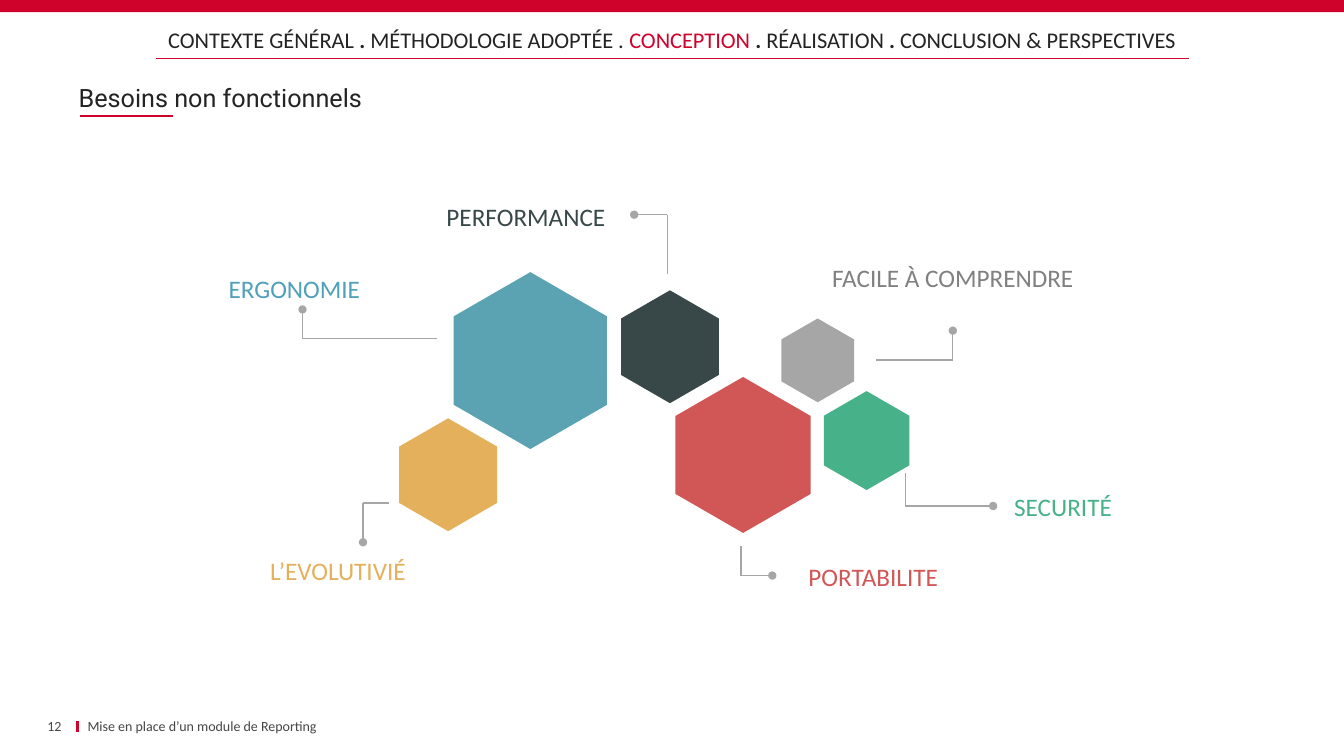
"""Build the slide of non-functional requirements with labelled hexagons."""
import dataclasses
import math

import lxml.etree
import pptx
import pptx.dml.color
import pptx.enum.shapes
import pptx.enum.text
import pptx.oxml.ns
import pptx.util

ALIGN = pptx.enum.text.PP_ALIGN
ANCHOR = pptx.enum.text.MSO_ANCHOR


@dataclasses.dataclass(frozen=True)
class Theme:
    red: str = "CF022B"
    ink: str = "232323"
    footer: str = "464646"
    leader: str = "A6A6A6"
    blue: str = "5BA2B2"
    blue_text: str = "4FA0B9"
    yellow: str = "E5B05C"
    coral: str = "D15656"
    slate: str = "384849"
    gray: str = "A6A6A6"
    gray_text: str = "808080"
    green: str = "47B289"
    body_font: str = "Calibri"
    title_font: str = "Roboto"
    title_size: int = 18
    label_size: int = 18
    menu_size: int = 16
    footer_size: int = 10


def px(length):
    return pptx.util.Emu(length * 9144)


def rgb(color):
    return pptx.dml.color.RGBColor.from_string(color)


class SlideBuilder:
    def __init__(self, slide, theme):
        self.slide = slide
        self.theme = theme

    def paint(self, shape, color):
        shape.shadow.inherit = False
        shape.fill.solid()
        shape.fill.fore_color.rgb = rgb(color)
        shape.line.fill.background()

    def bar(self, left, top, width, height, color):
        kind = pptx.enum.shapes.MSO_SHAPE.RECTANGLE
        shape = self.slide.shapes.add_shape(kind, px(left), px(top), px(width), px(height))
        self.paint(shape, color)

    def hexagon(self, left, top, width, color):
        height = width * 2 / math.sqrt(3)
        right, middle = left + width, left + width / 2
        upper, lower = top + height / 4, top + height * 3 / 4
        corners = [(left, lower), (middle, top + height), (right, lower),
                   (right, upper), (middle, top), (left, upper)]
        points = [(round(px(x)), round(px(y))) for x, y in corners]
        builder = self.slide.shapes.build_freeform(*points[0], scale=1.0)
        builder.add_line_segments(points[1:], close=True)
        self.paint(builder.convert_to_shape(), color)

    def line(self, start, end, color, weight=1.0, dot=False):
        kind = pptx.enum.shapes.MSO_CONNECTOR.STRAIGHT
        connector = self.slide.shapes.add_connector(kind, *map(px, start + end))
        connector.line.color.rgb = rgb(color)
        connector.line.width = pptx.util.Pt(weight)
        if dot:
            outline = connector.line._get_or_add_ln()
            lxml.etree.SubElement(outline, pptx.oxml.ns.qn("a:tailEnd"), type="oval")
        properties = connector._element.spPr
        lxml.etree.SubElement(properties, pptx.oxml.ns.qn("a:effectLst"))

    def leader(self, start, corner, end):
        self.line(start, corner, self.theme.leader)
        self.line(corner, end, self.theme.leader, dot=True)

    def text(self, box, runs, size, color, font=None, align=ALIGN.LEFT,
             anchor=ANCHOR.TOP, inset=10, wrap=True):
        frame = self.slide.shapes.add_textbox(*map(px, box)).text_frame
        frame.word_wrap = wrap
        frame.vertical_anchor = anchor
        frame.margin_left = frame.margin_right = px(inset)
        paragraph = frame.paragraphs[0]
        paragraph.alignment = align
        paragraph.font.name = font or self.theme.body_font
        paragraph.font.size = pptx.util.Pt(size)
        paragraph.font.color.rgb = rgb(color)
        for words, style in runs:
            run = paragraph.add_run()
            run.text = words
            if style == "bold":
                run.font.bold = True
            elif style == "italic":
                run.font.italic = True
            elif style == "current":
                run.font.color.rgb = rgb(self.theme.red)

    def label(self, left, top, width, words, color, align=ALIGN.LEFT):
        self.text((left, top, width, 40), [(words, None)], self.theme.label_size,
                  color, align=align, wrap=False)


def main():
    theme = Theme()
    presentation = pptx.Presentation()
    presentation.slide_width, presentation.slide_height = px(1333), px(750)
    builder = SlideBuilder(presentation.slides.add_slide(presentation.slide_layouts[6]), theme)

    builder.bar(0, 0, 1333, 12, theme.red)
    menu = [("CONTEXTE GÉNÉRAL ", None), (". ", "bold"),
            ("MÉTHODOLOGIE ADOPTÉE ", None), (". ", "italic"),
            ("CONCEPTION ", "current"), (".", "bold"), (" RÉALISATION", None),
            (" . ", "bold"), ("CONCLUSION & PERSPECTIVES", None)]
    builder.text((0, 21, 1333, 37), menu, theme.menu_size, theme.ink, align=ALIGN.CENTER)
    builder.line((155, 58), (1179, 58), theme.red)
    builder.text((78, 82, 1173, 30), [("Besoins non fonctionnels", None)], theme.title_size,
                 theme.ink, font=theme.title_font, anchor=ANCHOR.MIDDLE, inset=0)
    builder.line((79, 115), (172, 115), theme.red)

    for hexagon in [(450, 270, 152, theme.blue), (396, 415, 97, theme.yellow),
                    (670, 374, 134, theme.coral), (775, 316, 72, theme.gray),
                    (616, 288, 97, theme.slate), (817, 388, 85, theme.green)]:
        builder.hexagon(*hexagon)

    for leader in [((433, 336), (300, 336), (300, 307)),
                   ((869, 357), (945, 357), (945, 328)),
                   ((735, 542), (735, 571), (766, 571)),
                   ((386, 499), (360, 499), (360, 538)),
                   ((662, 272), (662, 213), (629, 213)),
                   ((898, 469), (898, 502), (985, 502))]:
        builder.leader(*leader)

    for label in [(792, 552, 155, "PORTABILITE", theme.coral),
                  (217, 266, 157, "ERGONOMIE", theme.blue_text),
                  (433, 195, 179, "PERFORMANCE", theme.slate),
                  (258, 546, 156, "L’EVOLUTIVIÉ", theme.yellow),
                  (814, 255, 262, "FACILE À COMPRENDRE", theme.gray_text, ALIGN.CENTER),
                  (996, 483, 118, "SECURITÉ", theme.green)]:
        builder.label(*label)

    builder.text((18, 711, 43, 18), [("12", None)], theme.footer_size, theme.footer,
                 align=ALIGN.RIGHT, anchor=ANCHOR.MIDDLE, inset=0)
    builder.line((77, 715), (77, 726), theme.red, weight=2.25)
    builder.text((77, 711, 663, 18), [("Mise en place d’un module de Reporting", None)],
                 theme.footer_size, theme.footer, anchor=ANCHOR.MIDDLE)
    presentation.save("out.pptx")


if __name__ == "__main__":
    main()
